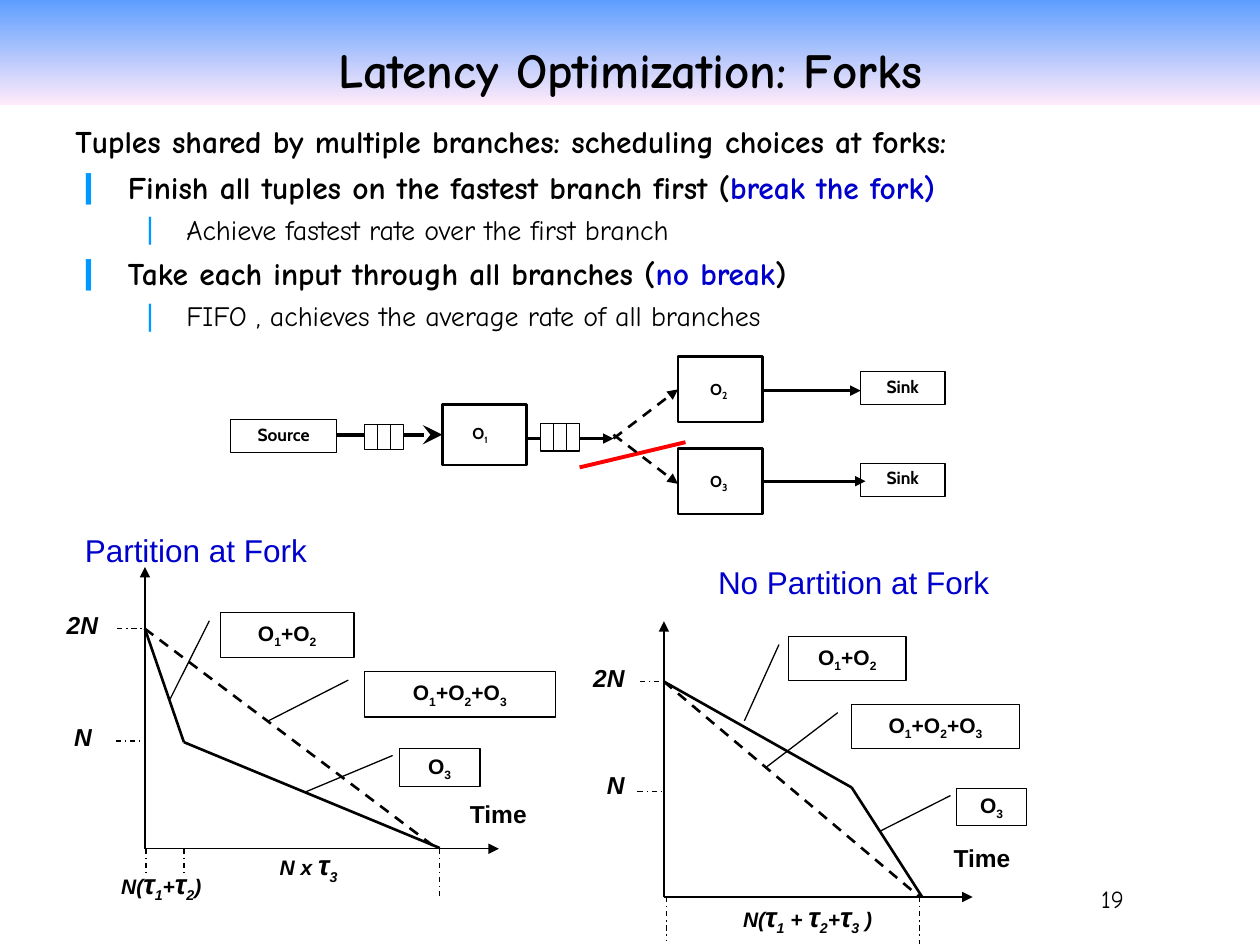
from itertools import groupby

from lxml import etree
from pptx import Presentation
from pptx.dml.color import RGBColor
from pptx.enum.dml import MSO_LINE
from pptx.enum.shapes import MSO_CONNECTOR, MSO_SHAPE
from pptx.enum.text import MSO_ANCHOR, MSO_AUTO_SIZE, PP_ALIGN
from pptx.oxml.ns import qn
from pptx.util import Pt

LEFT, CENTER, RIGHT = PP_ALIGN.LEFT, PP_ALIGN.CENTER, PP_ALIGN.RIGHT
TOP, MIDDLE, BOTTOM = MSO_ANCHOR.TOP, MSO_ANCHOR.MIDDLE, MSO_ANCHOR.BOTTOM
RECT, CALLOUT = MSO_SHAPE.RECTANGLE, MSO_SHAPE.LINE_CALLOUT_1
STRAIGHT = MSO_CONNECTOR.STRAIGHT
DASH, DASH_DOT = MSO_LINE.DASH, MSO_LINE.DASH_DOT
FIT = MSO_AUTO_SIZE.SHAPE_TO_FIT_TEXT
BLACK, WHITE, BLUE, BULLET = "000000", "FFFFFF", "0000CC", "0099FF"
COMIC, CABIN, ARIAL = "Comic Neue", "Cabin", "Arial"
WIDE = (7.2, 3.6, 7.2, 3.6)
TIGHT = (2.2, 2.2, 2.2, 2.2)


def rgb(color):
    return RGBColor.from_string(color)


def add_run(p, text, size, font, color=BLACK, bold=False, italic=False, sub=False):
    r = p.add_run()
    r.text = text
    f = r.font
    f.size, f.name, f.bold, f.italic = Pt(size), font, bold, italic
    f.color.rgb = rgb(color)
    if sub:
        r._r.get_or_add_rPr().set("baseline", "-25000")


def add_formula(p, text, font, size, tau=16, sub=None, italic=False):
    def kind(ch):
        return "sub" if ch.isdigit() else "tau" if ch == "τ" else "base"

    sizes = {"sub": sub or size, "tau": tau, "base": size}
    for k, chars in groupby(text, kind):
        add_run(p, "".join(chars), sizes[k], font, bold=True, italic=italic, sub=k == "sub")


def set_frame(s, align=LEFT, anchor=TOP, insets=WIDE, wrap=True):
    tf = s.text_frame
    tf.word_wrap, tf.vertical_anchor = wrap, anchor
    tf.margin_left, tf.margin_top, tf.margin_right, tf.margin_bottom = map(Pt, insets)
    p = tf.paragraphs[0]
    p.alignment = align
    return p


def add_text(sp, x, y, w, h, align=LEFT, anchor=TOP, insets=WIDE, wrap=True, fit=True):
    s = sp.add_textbox(Pt(x), Pt(y), Pt(w), Pt(h))
    p = set_frame(s, align, anchor, insets, wrap)
    if fit:
        s.text_frame.auto_size = FIT
    return p


def add_box(sp, x, y, w, h, width=0.75, fill=WHITE, shape=RECT):
    s = sp.add_shape(shape, Pt(x), Pt(y), Pt(w), Pt(h))
    s.shadow.inherit = False
    if fill:
        s.fill.solid()
        s.fill.fore_color.rgb = rgb(fill)
    else:
        s.fill.background()
    if width:
        s.line.width = Pt(width)
        s.line.color.rgb = rgb(BLACK)
    else:
        s.line.fill.background()
    return s


def add_line(sp, x1, y1, x2, y2, width=0.75, dash=None, head=None, color=BLACK, head_size="med"):
    s = sp.add_connector(STRAIGHT, Pt(x1), Pt(y1), Pt(x2), Pt(y2))
    s.line.width = Pt(width)
    s.line.color.rgb = rgb(color)
    if dash:
        s.line.dash_style = dash
    if head:
        ln = s.line._get_or_add_ln()
        etree.SubElement(ln, qn("a:tailEnd"), type=head, w=head_size, len=head_size)
    etree.SubElement(s._element.spPr, qn("a:effectLst"))


def add_title(sp, text):
    s = add_box(sp, 0, 0, 720, 60, width=None)
    s.fill.gradient()
    s.fill.gradient_angle = 270
    for stop, color in zip(s.fill.gradient_stops, ("5E9EFF", "FFEBFA")):
        stop.color.rgb = rgb(color)
    add_run(set_frame(s, CENTER, BOTTOM), text, 28, COMIC, bold=True)


def add_outline(sp, items):
    first = add_text(sp, 0, 66.2, 696.2, 175, fit=False)
    tf = first._parent
    for i, (level, bullet, runs) in enumerate(items):
        p = tf.add_paragraph() if i else first
        margin, indent, size, gap = {1: (66, -30, 18, 4.5), 2: (99.4, -27.4, 16, 4)}[level]
        p.level = level
        pPr = p._p.get_or_add_pPr()
        pPr.set("marL", str(Pt(margin)))
        pPr.set("indent", str(Pt(indent)))
        if bullet:
            clr = etree.SubElement(pPr, qn("a:buClr"))
            etree.SubElement(clr, qn("a:srgbClr"), val=BULLET)
            etree.SubElement(pPr, qn("a:buFont"), typeface=ARIAL)
            etree.SubElement(pPr, qn("a:buChar"), char=bullet)
        else:
            etree.SubElement(pPr, qn("a:buNone"))
        p.space_before = Pt(gap if i else 0)
        for text, color in runs:
            add_run(p, text, size, COMIC, color, bold=level == 1)


def add_endpoint(sp, x, y, w, text):
    s = add_box(sp, x, y, w, 18.7)
    add_run(set_frame(s, CENTER, insets=TIGHT), text, 10, CABIN, bold=True)


def add_operator(sp, box, label, text, sub):
    add_box(sp, *box, width=1.5)
    s = add_box(sp, *label, width=None)
    add_formula(set_frame(s, CENTER, insets=TIGHT), text, CABIN, 9, sub=sub)


def add_queue(sp, x, y, w, h):
    add_box(sp, x, y, w, h)
    for i in (1, 2):
        add_line(sp, x + w * i / 3, y, x + w * i / 3, y + h)


def add_network(sp):
    add_line(sp, 331.2, 267.1, 391.7, 252.7, 2.25, color="FF0000")
    add_endpoint(sp, 131.8, 239.8, 60.5, "Source")
    add_line(sp, 192.2, 248.4, 252.7, 248.4, 2.25, head="stealth", head_size="lg")
    add_line(sp, 301, 250.6, 350.6, 250.6, 1.5, head="triangle")
    add_operator(sp, (252.7, 231.1, 48.2, 34.6), (256.3, 239.8, 36, 17.3), "O1", 9)
    for top, fork_y, end_y, out_y, out_x, name in (
        (203.8, 250.6, 222.5, 223.2, 491.8, "O2"),
        (256.3, 248.4, 276.5, 275, 494.6, "O3"),
    ):
        add_line(sp, 350.6, fork_y, 387.4, end_y, 1.5, DASH, "triangle")
        add_operator(sp, (387.4, top, 48.2, 37.4), (398.9, top + 10, 23.8, 18.7), name, 10)
        add_endpoint(sp, 491.8, top + 8.6, 48.2, "Sink")
        add_line(sp, 435.6, out_y, out_x, out_y, 1.5, head="triangle")
    add_queue(sp, 208.1, 242.6, 22.3, 14.4)
    add_queue(sp, 308.9, 241.9, 22.3, 15.8)


def add_callout(sp, x, y, w, h, text, end_y, end_x):
    s = add_box(sp, x, y, w, h, fill=None, shape=CALLOUT)
    for i, value in enumerate((0.188, -0.083, end_y, end_x)):
        s.adjustments[i] = value
    add_formula(set_frame(s, CENTER, MIDDLE), text, ARIAL, 12)


def add_plot(sp, curve, axis_end, axis_top, base, dash_x, ticks, time, drops, callouts, formulas):
    x0, y0 = curve[0]
    add_line(sp, x0, base, axis_end, base, head="triangle")
    add_line(sp, x0, base, x0, axis_top, head="triangle")
    for start, end in zip(curve, curve[1:]):
        add_line(sp, *start, *end, 1.5)
    add_line(sp, x0, y0, dash_x, base, 1.5, DASH)
    for text, x, y, w, tick_x, tick_y in ticks:
        add_line(sp, tick_x, tick_y, x0 + 0.4, tick_y, dash=DASH_DOT)
        add_run(add_text(sp, x, y, w, 24.5, wrap=False), text, 14, ARIAL, bold=True, italic=True)
    add_run(add_text(sp, *time, 46.8, 24.5, wrap=False), "Time", 14, ARIAL, bold=True)
    for x, bottom in drops:
        add_line(sp, x, base, x, bottom, dash=DASH_DOT)
    for callout in callouts:
        add_callout(sp, *callout)
    for x, y, w, text in formulas:
        add_formula(add_text(sp, x, y, w, 28.8, CENTER), text, ARIAL, 12, sub=14, italic=True)


def main():
    prs = Presentation()
    prs.slide_width, prs.slide_height = Pt(720), Pt(540)
    sp = prs.slides.add_slide(prs.slide_layouts[6]).shapes
    p = add_text(sp, 558, 486, 84.2, 36, RIGHT, BOTTOM, (7.2, 3.6, 0, 0), fit=False)
    add_run(p, "19", 14, COMIC)
    add_title(sp, "Latency Optimization: Forks")
    add_outline(sp, [
        (1, None, [("Tuples shared by multiple branches: scheduling choices at forks:", BLACK)]),
        (1, "❙", [("Finish all tuples on the fastest branch first (", BLACK), ("break the fork)", BLUE)]),
        (2, "❘", [("Achieve fastest rate over the first branch", BLACK)]),
        (1, "❙", [("Take each input through all branches (", BLACK), ("no break", BLUE), (")", BLACK)]),
        (2, "❘", [("FIFO , achieves the average rate of all branches", BLACK)]),
    ])
    add_network(sp)
    p = add_text(sp, 399.8, 318.2, 176, 28.8, CENTER, wrap=False)
    add_run(p, "No Partition at Fork", 18, ARIAL, BLUE)
    add_plot(
        sp, [(379.4, 389.5), (486.7, 450), (527, 512.6)], 555.8, 355, 512.6, 525.6,
        [("2N", 331.9, 375.1, 32.4, 365.8, 389.5), ("N", 339.8, 436.3, 24.5, 364.3, 452.2)],
        (537.8, 478.1), [(380.9, 537.8), (525.6, 539.3)],
        [(450.7, 363.6, 67, 25.2, "O1+O2", 1.917, -0.378),
         (546.5, 450.7, 40.3, 20.9, "O3", 1.167, -1.088),
         (486.7, 402.5, 95.8, 25.2, "O1+O2+O3", 1.409, -0.504)],
        [(396.7, 510.5, 129.6, "N(τ1 + τ2+τ3 )")])
    p = add_text(sp, 18, 300.2, 187.9, 28.8, CENTER)
    add_run(p, "Partition at Fork", 18, ARIAL, BLUE)
    add_plot(
        sp, [(82.8, 359.3), (105.1, 424.1), (251.3, 484.6)], 285.1, 324, 485, 249.8,
        [("2N", 31, 344.9, 32.4, 67, 359.3), ("N", 35.3, 409, 24.5, 66.2, 423.4)],
        (261.4, 452.9), [(83.5, 500.4), (105.1, 500.4), (251.3, 511.9)],
        [(126, 349.9, 76.3, 25.9, "O1+O2", 1.917, -0.378),
         (228.2, 427.7, 46.1, 21.6, "O3", 1.167, -1.18),
         (208.1, 383.8, 109.4, 25.9, "O1+O2+O3", 1.094, -0.504)],
        [(18, 491.8, 148.3, "N(τ1+τ2)"), (102.2, 481, 148.3, "N x τ3")])
    prs.save("out.pptx")


if __name__ == "__main__":
    main()
